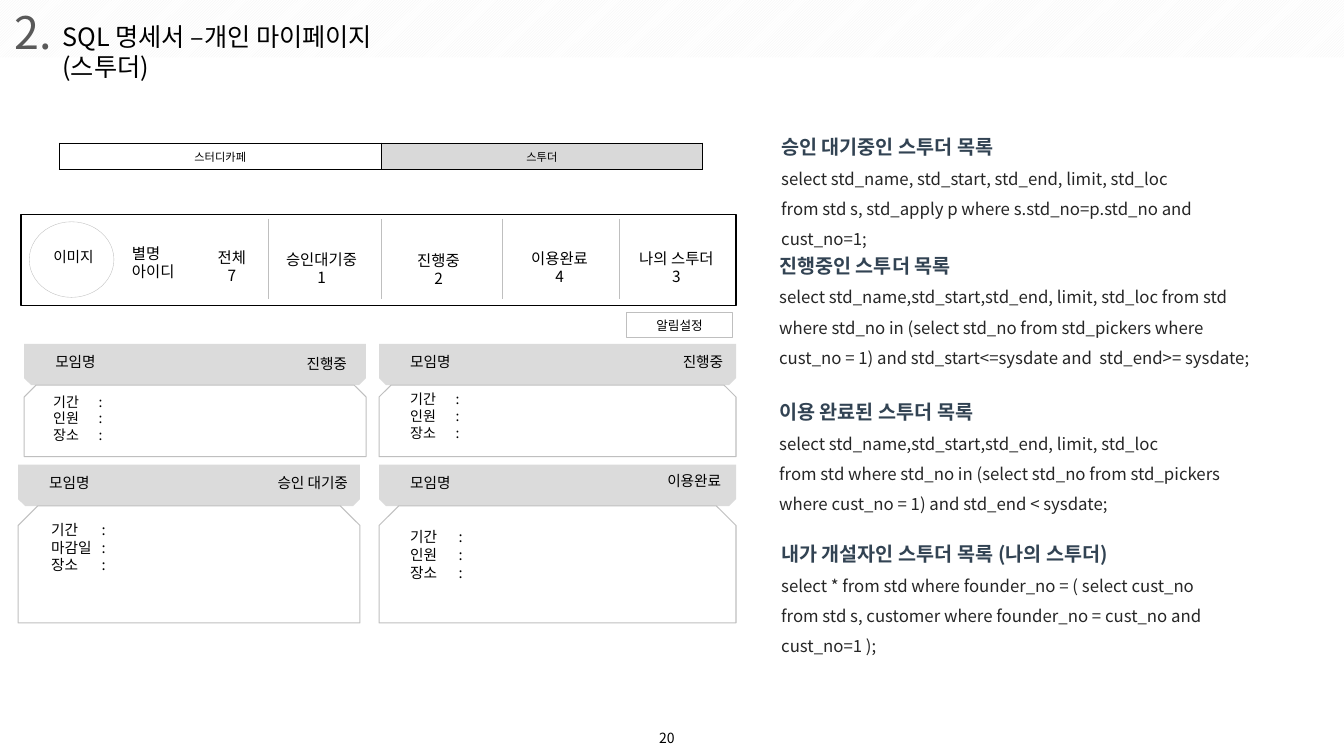
import pptx
import pptx.util
import pptx.dml.color
import pptx.enum.dml
import pptx.enum.shapes
import pptx.enum.text
import pptx.oxml.ns
from lxml import etree

RGBColor = pptx.dml.color.RGBColor
SHAPE = pptx.enum.shapes.MSO_SHAPE
ALIGN = pptx.enum.text.PP_ALIGN
ANCHOR = pptx.enum.text.MSO_ANCHOR
Pt = pptx.util.Pt
qn = pptx.oxml.ns.qn

BLACK = RGBColor(0x00, 0x00, 0x00)
WHITE = RGBColor(0xFF, 0xFF, 0xFF)
NUMBER_GRAY = RGBColor(0x59, 0x59, 0x59)
CODE_GRAY = RGBColor(0x26, 0x26, 0x26)
HEADING_BLUE = RGBColor(0x32, 0x43, 0x53)
LINE_GRAY = RGBColor(0xBF, 0xBF, 0xBF)
CARD_GRAY = RGBColor(0xDB, 0xDB, 0xDB)
TAB_GRAY = RGBColor(0xD9, 0xD9, 0xD9)
BAND_GRAY = RGBColor(0xF2, 0xF2, 0xF2)

FONT = "Noto Sans CJK KR"
EMU_PER_PX = 9144

CARDS = [
    ((24, 341, 339, 112), "진행중", (-9, 6), ("기간", "인원", "장소"), (19, 44), 10, 45),
    ((376, 341, 354, 112), "진행중", (-3, 4), ("기간", "인원", "장소"), (21, 42), 10, 45),
    ((18, 461, 339, 157), "승인 대기중", (-2, 4), ("기간", "마감일", "장소"), (23, 51), 10.5, 50),
    ((376, 461, 354, 157), "이용완료", (-5, 2), ("기간", "인원", "장소"), (21, 58), 10.5, 48),
]

STATS = [
    (209, 28, "전체", "7"),
    (298, 30, "승인대기중", "1"),
    (414, 31, "진행중", "2"),
    (534, 29, "이용완료", "4"),
    (650, 29, "나의 스투더", "3"),
]

QUERIES = [
    ((765, 124, 499, 96), "승인 대기중인 스투더 목록",
     ["select std_name, std_start, std_end, limit, std_loc",
      "from std s, std_apply p where s.std_no=p.std_no and cust_no=1;"]),
    ((763, 242, 499, 129), "진행중인 스투더 목록",
     ["select std_name,std_start,std_end, limit, std_loc from std where std_no in "
      "(select std_no from std_pickers where cust_no = 1) and std_start<=sysdate and  "
      "std_end>= sysdate;"]),
    ((763, 387, 499, 128), "이용 완료된 스투더 목록",
     ["select std_name,std_start,std_end, limit, std_loc",
      "from std where std_no in (select std_no from std_pickers  where cust_no = 1) "
      "and std_end < sysdate;"]),
    ((765, 528, 499, 129), "내가 개설자인 스투더 목록 (나의 스투더)",
     ["select * from std where founder_no = ( select cust_no",
      "from std s, customer where founder_no = cust_no and cust_no=1 );"]),
]


def px(*lengths):
    """Turn px lengths into EMU."""
    return [length * EMU_PER_PX for length in lengths]


def write(frame, lines, size, color=BLACK, bold=False, tab=None, **layout):
    """Fill a text frame with one paragraph per line."""
    frame.word_wrap = True
    for index, line in enumerate(lines):
        paragraph = frame.paragraphs[0] if index == 0 else frame.add_paragraph()
        if tab:
            stops = etree.SubElement(paragraph._p.get_or_add_pPr(), qn("a:tabLst"))
            etree.SubElement(stops, qn("a:tab"), pos=str(px(tab)[0]), algn="l")
        for name, value in layout.items():
            setattr(paragraph, name, value)
        paragraph.text = line
        for run in paragraph.runs:
            for name, value in {"name": FONT, "size": Pt(size), "bold": bold}.items():
                setattr(run.font, name, value)
            run.font.color.rgb = color
            etree.SubElement(run._r.get_or_add_rPr(), qn("a:ea"), typeface=FONT)


def add_text(slide, box, lines, size, anchor=ANCHOR.TOP, **style):
    """Place a text box that grows with its lines."""
    frame = slide.shapes.add_textbox(*px(*box)).text_frame
    frame.auto_size = pptx.enum.text.MSO_AUTO_SIZE.SHAPE_TO_FIT_TEXT
    frame.vertical_anchor = anchor
    write(frame, lines, size, **style)


def add_box(slide, kind, box, fill=None, line=None, width=1):
    """Place a flat preset shape."""
    shape = slide.shapes.add_shape(kind, *px(*box))
    shape.shadow.inherit = False
    if fill is None:
        shape.fill.background()
    else:
        shape.fill.solid()
        shape.fill.fore_color.rgb = fill
    if line is None:
        shape.line.fill.background()
    else:
        shape.line.color.rgb = line
        shape.line.width = Pt(width)
    return shape


def title_band(slide, box):
    """Draw the hatched band with section number and title."""
    left, top, width, height = box
    band = add_box(slide, SHAPE.RECTANGLE, box)
    band.fill.patterned()
    band.fill.pattern = pptx.enum.dml.MSO_PATTERN.DARK_UPWARD_DIAGONAL
    band.fill.fore_color.rgb = BAND_GRAY
    band.fill.back_color.rgb = WHITE
    add_text(slide, (left + 52, top + 16, 422, 40),
             ["SQL 명세서 –개인 마이페이지\v(스투더)"], 18)
    add_text(slide, (left + 5, top, 70, 64), ["2."], 32, color=NUMBER_GRAY)


def category_tabs(slide, box):
    """Draw the two category tabs as a one-row table."""
    table = slide.shapes.add_table(1, 2, *px(*box)).table
    table.first_row = table.horz_banding = False
    table.rows[0].height = px(box[3])[0]
    for cell, label, fill in zip(table.iter_cells(), ("스터디카페", "스투더"), (WHITE, TAB_GRAY)):
        write(cell.text_frame, [label], 8, alignment=ALIGN.CENTER)
        cell.vertical_anchor = ANCHOR.MIDDLE
        properties = cell._tc.get_or_add_tcPr()
        for side in ("a:lnL", "a:lnR", "a:lnT", "a:lnB"):
            border = etree.SubElement(properties, qn(side), w=str(Pt(1)))
            paint = etree.SubElement(border, qn("a:solidFill"))
            etree.SubElement(paint, qn("a:srgbClr"), val=str(BLACK))
        cell.fill.solid()
        cell.fill.fore_color.rgb = fill


def profile_bar(slide, box):
    """Draw the profile with its study counts and the alert button."""
    left, top, width, height = box
    add_box(slide, SHAPE.RECTANGLE, box, WHITE, BLACK)
    add_box(slide, SHAPE.OVAL, (left + 8, top + 7, 84, 75), WHITE, LINE_GRAY, 0.25)
    add_text(slide, (left + 22, top + 28, 81, 29), ["이미지"], 10.5)
    add_text(slide, (left + 100, top + 24, 100, 47), ["별명", "아이디"], 11)
    for center, offset, label, count in STATS:
        add_text(slide, (left + center - 65, top + offset, 130, 47), [label, count], 11,
                 alignment=ALIGN.CENTER)
    for offset in (245, 357, 477, 593):
        divider = slide.shapes.add_connector(
            pptx.enum.shapes.MSO_CONNECTOR.STRAIGHT,
            *px(left + offset, top + 4, left + offset, top + 84))
        divider.line.color.rgb = LINE_GRAY
        divider.line.width = Pt(0.5)
        etree.SubElement(divider._element.spPr, qn("a:effectLst"))
    alert = add_box(slide, SHAPE.RECTANGLE, (left + 600, top + 97, 106, 25),
                    line=LINE_GRAY, width=0)
    write(alert.text_frame, ["알림설정"], 9, alignment=ALIGN.CENTER)


def study_card(slide, box, status, status_offset, labels, details_offset, size, tab):
    """Draw a study card with header, status and details."""
    left, top, width, height = box
    header = 41
    kind = SHAPE.SNIP_2_SAME_RECTANGLE
    add_box(slide, kind, (left, top, width, header), CARD_GRAY).rotation = 180
    add_box(slide, kind, (left, top + header, width, height - header), WHITE, LINE_GRAY, 0.75)
    add_text(slide, (left + 21, top + 4, 120, 29), ["모임명"], 10.5)
    right, drop = status_offset
    add_text(slide, (left + width + right - 188, top + drop, 188, 29), [status], 10.5,
             alignment=ALIGN.RIGHT)
    indent, drop = details_offset
    add_text(slide, (left + indent, top + drop, 300, 63),
             [label + "\t:" for label in labels], size, tab=tab)


def query_block(slide, box, heading, code):
    """Write a query under its heading."""
    left, top, width, height = box
    add_text(slide, (left, top + 28, width, height - 28), code, 12, color=CODE_GRAY,
             line_spacing=1.5)
    add_text(slide, (left, top, 437, 38), [heading], 14, anchor=ANCHOR.MIDDLE,
             color=HEADING_BLUE, bold=True, line_spacing=1.2)


def main():
    """Build and save the slide."""
    deck = pptx.Presentation()
    deck.slide_width, deck.slide_height = px(1333, 750)
    slide = deck.slides.add_slide(deck.slide_layouts[6])
    title_band(slide, (0, 0, 1333, 57))
    category_tabs(slide, (59, 142, 638, 26))
    profile_bar(slide, (21, 213, 709, 90))
    for card in CARDS:
        study_card(slide, *card)
    for query in QUERIES:
        query_block(slide, *query)
    add_text(slide, (631, 719, 48, 27), ["20"], 10, alignment=ALIGN.RIGHT)
    deck.save("out.pptx")


if __name__ == "__main__":
    main()
